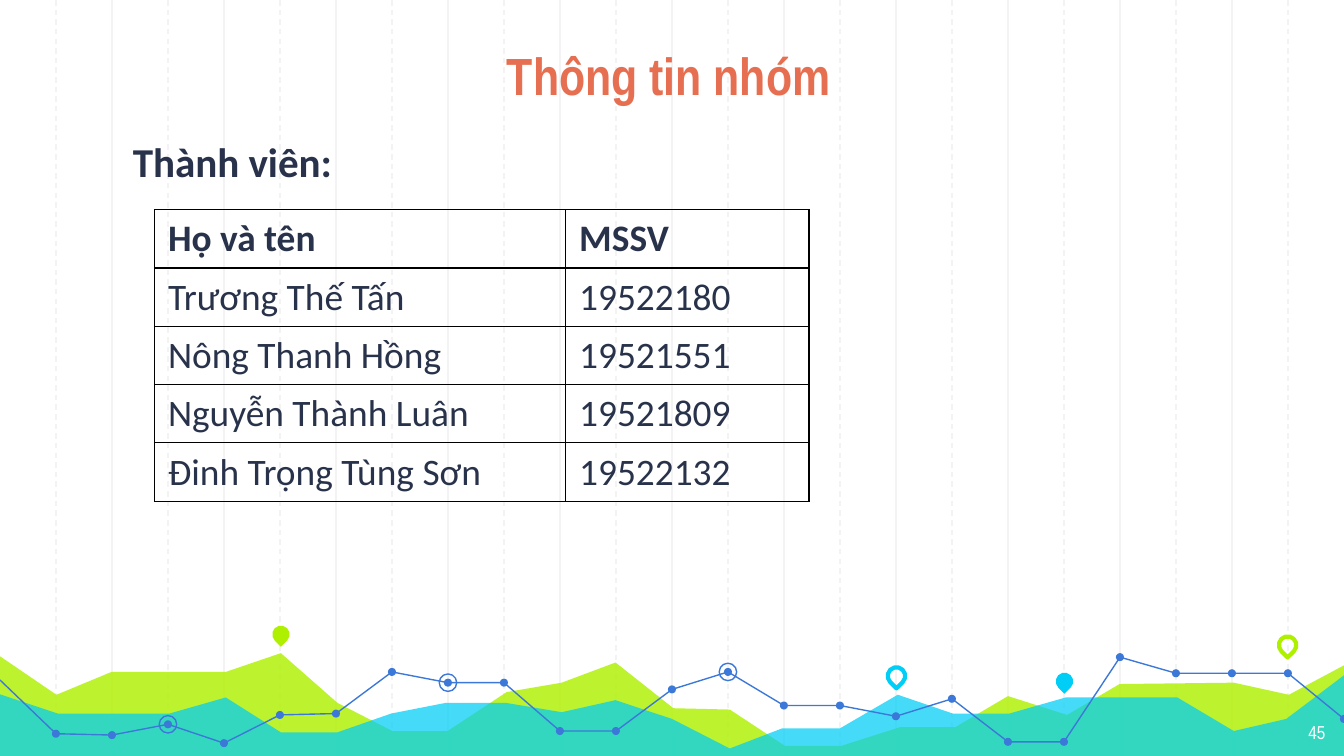
from lxml import etree
from pptx import Presentation
from pptx.dml.color import RGBColor
from pptx.enum.dml import MSO_LINE
from pptx.enum.shapes import MSO_CONNECTOR, MSO_SHAPE
from pptx.enum.text import MSO_ANCHOR, MSO_AUTO_SIZE, PP_ALIGN
from pptx.oxml.ns import qn
from pptx.util import Inches, Pt

LEFT, CENTER, RIGHT = PP_ALIGN.LEFT, PP_ALIGN.CENTER, PP_ALIGN.RIGHT
TOP, BOTTOM = MSO_ANCHOR.TOP, MSO_ANCHOR.BOTTOM
OVAL, TEARDROP = MSO_SHAPE.OVAL, MSO_SHAPE.TEAR
STRAIGHT, DASH, NO_AUTOFIT = MSO_CONNECTOR.STRAIGHT, MSO_LINE.DASH, MSO_AUTO_SIZE.NONE
GREEN, CYAN, BLUE = "AFF000", "00CEF6", "3C78D8"
GRID, NAVY, ORANGE = "F3F3F3", "28324A", "E76F51"
GAP = 10 / 24  # spacing of the vertical grid

rgb = RGBColor.from_string


def paint(sp, fill=None, line=None, width=0.75, opacity=100):
    sp.shadow.inherit = False
    if fill:
        sp.fill.solid()
        sp.fill.fore_color.rgb = rgb(fill)
        if opacity < 100:
            color = sp.fill._xPr.find(qn("a:solidFill"))[0]
            etree.SubElement(color, qn("a:alpha"), val=str(opacity * 1000))
    else:
        sp.fill.background()
    if line:
        sp.line.color.rgb = rgb(line)
        sp.line.width = Pt(width)
    else:
        sp.line.fill.background()


def write(tf, text, size=20, font="Calibri", color=NAVY, bold=False,
          align=LEFT, anchor=TOP, inset=None):
    tf.word_wrap = True
    tf.vertical_anchor = anchor
    if inset is not None:
        tf.margin_left = tf.margin_right = Inches(inset)
        tf.margin_top = tf.margin_bottom = Inches(inset)
    p = tf.paragraphs[0]
    p.alignment = align
    r = p.add_run()
    r.text = text
    r.font.size, r.font.name, r.font.bold = Pt(size), font, bold
    r.font.color.rgb = rgb(color)


# Widescreen slide, 16:9
prs = Presentation()
prs.slide_width, prs.slide_height = Inches(10), Inches(10 * 9 / 16)
s = prs.slides.add_slide(prs.slide_layouts[5])
s.background.fill.solid()
s.background.fill.fore_color.rgb = rgb("FFFFFF")

# Vertical grid: solid and dashed lines alternate
for i in range(1, 24):
    x = Inches(i * GAP)
    line = s.shapes.add_connector(STRAIGHT, x, 0, x, Inches(5.65))
    line.line.color.rgb = rgb(GRID)
    line.line.width = Pt(0.75)
    if i % 2:
        line.line.dash_style = DASH
    etree.SubElement(line.element.spPr, qn("a:effectLst"))

# Areas and the trend line above them
green_area = [
    (-0.02, 4.87), (0.42, 5.17), (0.83, 5), (1.68, 5), (2.09, 4.86), (2.51, 5.23),
    (2.92, 5.44), (3.33, 5.44), (3.77, 5.15), (4.18, 5.08), (4.58, 4.93), (5.01, 5.27),
    (5.43, 5.28), (5.84, 5.55), (6.26, 5.55), (6.7, 5.41), (7.11, 5.41), (7.5, 5.18),
    (7.94, 5.32), (8.33, 5.09), (9.18, 5.08), (9.59, 5.17), (10.02, 4.94),
    (10.01, 5.64), (-0.03, 5.64)]
cyan_area = [
    (-0.02, 5.16), (0.43, 5.31), (1.26, 5.31), (1.68, 5.19), (2.09, 5.45), (2.51, 5.45),
    (2.91, 5.31), (3.32, 5.23), (3.76, 5.23), (4.18, 5.3), (4.58, 5.21), (5, 5.35),
    (5.43, 5.57), (5.82, 5.42), (6.25, 5.42), (6.68, 5.17), (7.09, 5.31), (7.51, 5.31),
    (7.93, 5.19), (8.76, 5.19), (9.18, 5.44), (9.57, 5.35), (10.02, 5.01),
    (10.02, 5.65), (-0.03, 5.65)]
trend_y = [5.06, 5.46, 5.47, 5.39, 5.53, 5.32, 5.31, 5, 5.08, 5.08, 5.44, 5.44, 5.13,
           5, 5.25, 5.25, 5.33, 5.2, 5.52, 5.52, 4.89, 5.01, 5.01, 5.01, 5.35]
trend = [(i * GAP, y) for i, y in enumerate(trend_y)]

outlines = [
    (green_area, True, dict(fill=GREEN, opacity=82)),
    (cyan_area, True, dict(fill=CYAN, opacity=73)),
    (trend[:12], False, dict(line=BLUE)),
    (trend[11:21], False, dict(line=BLUE)),
    (trend[20:], False, dict(line=BLUE))]
for points, closed, look in outlines:
    points = [(Inches(x), Inches(y)) for x, y in points]
    builder = s.shapes.build_freeform(*points[0])
    builder.add_line_segments(points[1:], close=closed)
    paint(builder.convert_to_shape(), **look)

# Trend dots, rings and map pins: kind, centre, size, look
markers = [(OVAL, x, y, 0.06, dict(fill=BLUE)) for x, y in trend[1:]]
markers += [(OVAL, *trend[i], 0.13, dict(line=BLUE)) for i in (3, 8, 13)]
markers += [
    (TEARDROP, 2.09, 4.72, 0.13, dict(fill=GREEN)),
    (TEARDROP, 6.67, 5.03, 0.13, dict(line=CYAN, width=2.25)),
    (TEARDROP, 7.92, 5.07, 0.13, dict(fill=CYAN)),
    (TEARDROP, 9.58, 4.8, 0.13, dict(line=GREEN, width=2.25))]
for kind, x, y, size, look in markers:
    sp = s.shapes.add_shape(kind, Inches(x - size / 2), Inches(y - size / 2),
                            Inches(size), Inches(size))
    if kind == TEARDROP:
        sp.rotation = 135
    paint(sp, **look)

# Title, brought in front of the background
title = s.shapes.title
title.left, title.top = Inches(1.15), Inches(0.11)
title.width, title.height = Inches(7.65), Inches(0.78)
title.text_frame.auto_size = NO_AUTOFIT
write(title.text_frame, "Thông tin nhóm", size=28, font="Arial Narrow", color=ORANGE,
      bold=True, align=CENTER, anchor=BOTTOM, inset=0.1)
s.shapes.element.append(title.element)

# Page number and heading
number = s.shapes.add_textbox(Inches(9.36), Inches(5.28), Inches(0.6), Inches(0.35))
write(number.text_frame, "45", size=10, font="Arial Narrow", color="FFFFFF",
      align=RIGHT, inset=0.1)
heading = s.shapes.add_textbox(Inches(0.89), Inches(0.97), Inches(2.32), Inches(0.47))
write(heading.text_frame, "Thành viên:", size=22, bold=True)

# Member table
members = [
    ("Họ và tên", "MSSV"),
    ("Trương Thế Tấn", "19522180"),
    ("Nông Thanh Hồng", "19521551"),
    ("Nguyễn Thành Luân", "19521809"),
    ("Đinh Trọng Tùng Sơn", "19522132")]
table = s.shapes.add_table(len(members), 2, Inches(1.15), Inches(1.56),
                           Inches(4.88), Inches(2.17)).table
table.first_row = table.horz_banding = False
table.columns[0].width, table.columns[1].width = Inches(3.06), Inches(1.81)
for row, values in enumerate(members):
    for col, value in enumerate(values):
        cell = table.cell(row, col)
        write(cell.text_frame, value, bold=row == 0)
        tcPr = cell._tc.get_or_add_tcPr()
        for side in ("a:lnL", "a:lnR", "a:lnT", "a:lnB"):
            border = etree.SubElement(tcPr, qn(side), w=str(Pt(0.75)))
            fill = etree.SubElement(border, qn("a:solidFill"))
            etree.SubElement(fill, qn("a:srgbClr"), val="000000")
        cell.fill.background()

prs.save("out.pptx")
